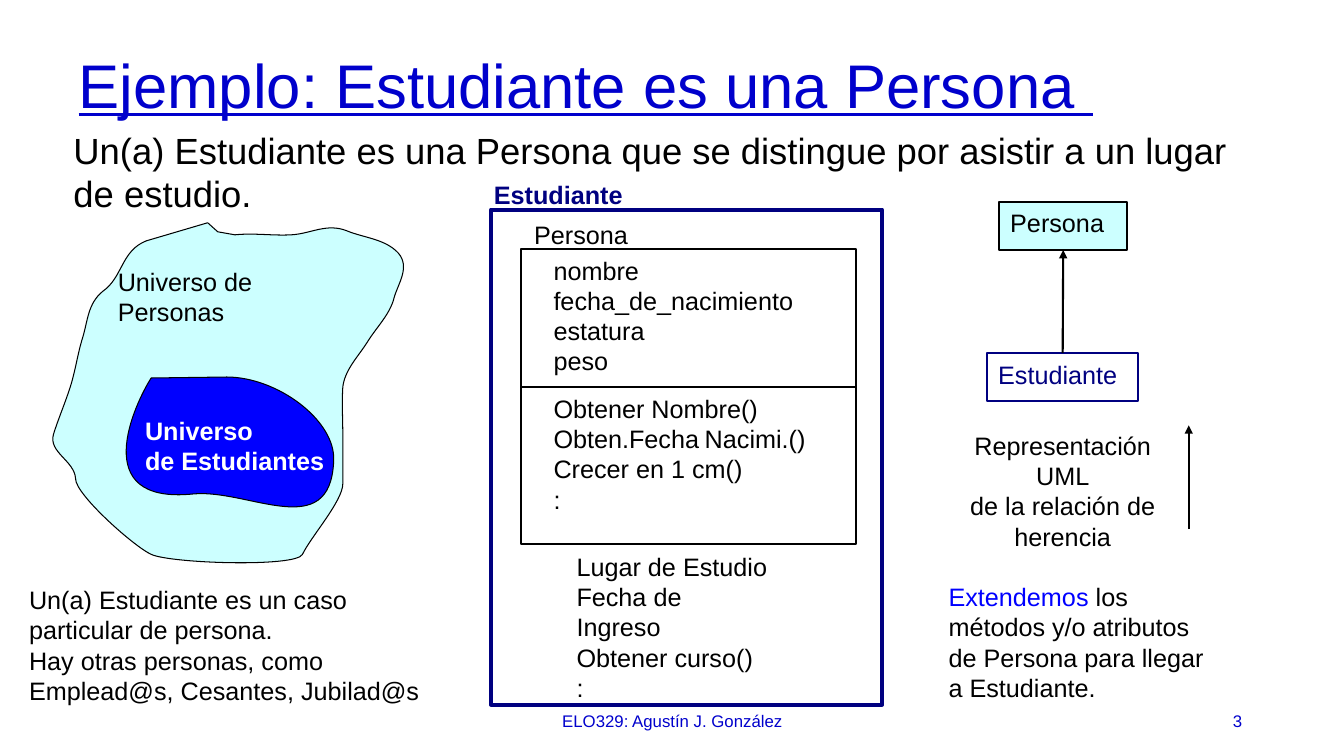
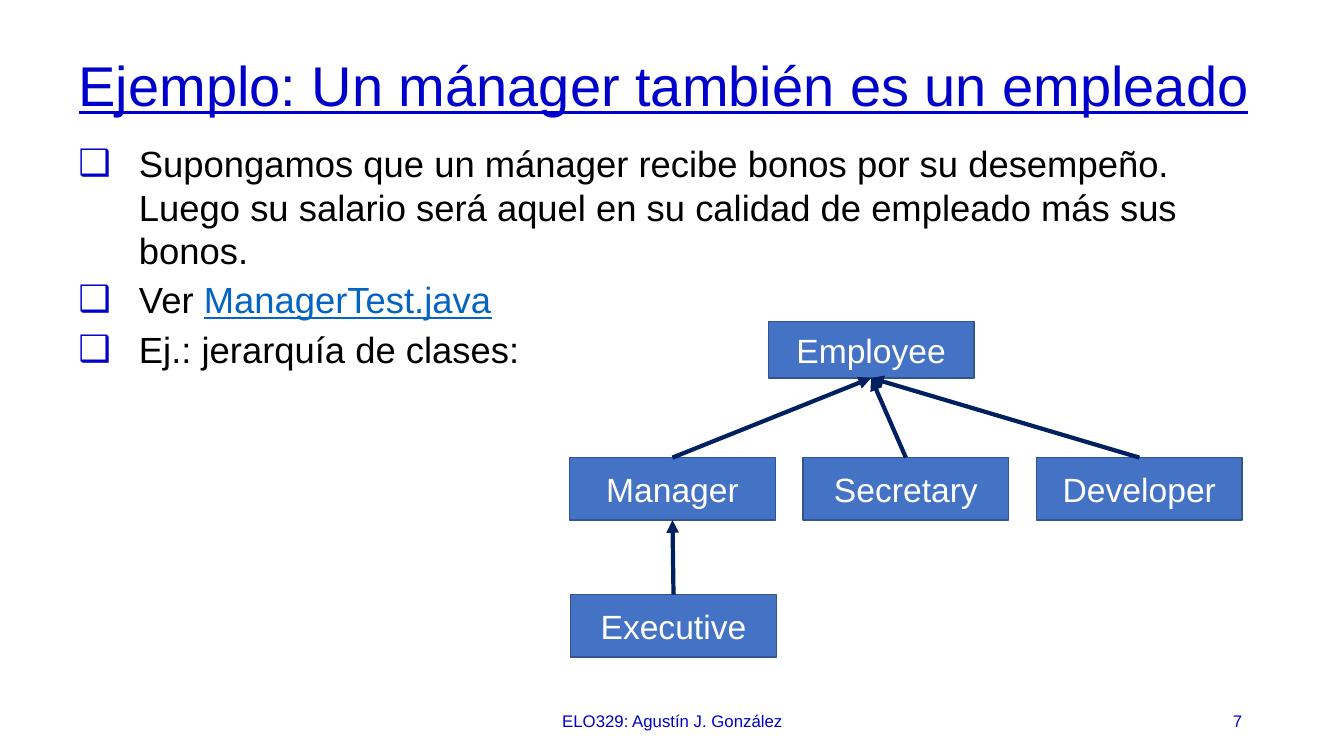
from dataclasses import dataclass

from lxml.etree import SubElement
from pptx import Presentation
from pptx.dml.color import RGBColor
from pptx.enum.shapes import MSO_CONNECTOR, MSO_SHAPE
from pptx.enum.text import MSO_ANCHOR, MSO_AUTO_SIZE, PP_ALIGN
from pptx.oxml.ns import qn
from pptx.util import Inches, Pt


@dataclass(frozen=True)
class Theme:
    font: str = "Arial"
    title: str = "0000CC"
    black: str = "000000"
    white: str = "FFFFFF"
    navy: str = "000080"
    blue: str = "0000FF"
    cyan: str = "CCFFFF"
    link: str = "0563C1"
    box: str = "4472C4"
    box_line: str = "325491"
    arrow: str = "002060"
    body_size: int = 26
    node_size: int = 24
    label_size: int = 18
    footer_size: int = 12
    frame_line: float = 2.89
    uml_line: float = 1.45


T = Theme()
TEXT_INSETS = (0.1, 0.05)
UML_INSETS = (0.11, 0.06)
LEFT, CENTER, RIGHT = PP_ALIGN.LEFT, PP_ALIGN.CENTER, PP_ALIGN.RIGHT
TOP, MIDDLE = MSO_ANCHOR.TOP, MSO_ANCHOR.MIDDLE

# Outlines in inches: a start, then curves (three points) or lines (one point)
PERSONS_START = (1.45, 2.39)
PERSONS_OUTLINE = [
    (1.2, 2.49, 1.22, 2.75, 1.02, 2.89), (0.87, 3.01, 0.87, 3.19, 0.82, 3.35),
    (0.77, 3.51, 0.75, 3.67, 0.7, 3.83), (0.65, 3.99, 0.58, 4.15, 0.53, 4.31),
    (0.48, 4.49, 0.74, 4.57, 0.75, 4.75), (0.75, 4.91, 1.34, 5.43, 1.5, 5.5),
    (1.69, 5.59, 2.94, 5.63, 3, 5.5), (3.08, 5.33, 3.4, 4.97, 3.4, 4.8),
    (3.4, 4.64, 3.4, 4.48, 3.4, 4.31), (3.4, 4.16, 3.39, 4, 3.4, 3.84),
    (3.42, 3.67, 3.55, 3.54, 3.64, 3.4), (3.73, 3.25, 3.87, 3.12, 3.91, 2.95),
    (3.95, 2.81, 4.07, 2.65, 3.95, 2.51), (3.82, 2.37, 3.61, 2.36, 3.44, 2.29),
    (3.24, 2.21, 3.08, 2.32, 2.89, 2.33), (2.7, 2.34, 2.52, 2.31, 2.33, 2.33),
    (2.16, 2.3), (2.06, 2.21),
]
STUDENTS_START = (1.5, 3.75)
STUDENTS_OUTLINE = [
    (1.34, 4, 0.86, 5.01, 1.92, 4.9), (2.47, 4.85, 3.28, 5.39, 3.31, 4.57),
    (3.33, 4.17, 2.75, 3.74, 2.25, 3.74),
]


def rgb(value):
    return RGBColor.from_string(value)


# Text
def add_run(p, text, size, color, **extra):
    r = p.add_run()
    r.text = text
    for name, value in {"name": T.font, "size": Pt(size), **extra}.items():
        setattr(r.font, name, value)
    r.font.color.rgb = rgb(color)


def fill_text(tf, paragraphs, size, color, align=LEFT, anchor=TOP,
              insets=TEXT_INSETS, **font):
    """Each paragraph is a string or a list of (text, format) pairs."""
    side, edge = (Inches(v) for v in insets)
    frame = {"word_wrap": True, "auto_size": MSO_AUTO_SIZE.NONE,
             "vertical_anchor": anchor, "margin_left": side,
             "margin_right": side, "margin_top": edge, "margin_bottom": edge}
    for name, value in frame.items():
        setattr(tf, name, value)
    for i, content in enumerate(paragraphs):
        p = tf.add_paragraph() if i else tf.paragraphs[0]
        p.alignment = align
        runs = [(content, {})] if isinstance(content, str) else content
        for text, changes in runs:
            add_run(p, text, **{"size": size, "color": color, **font, **changes})
    return tf


def add_text(s, at, paragraphs, size=T.label_size, color=T.black, **options):
    sp = s.shapes.add_textbox(*map(Inches, at))
    return fill_text(sp.text_frame, paragraphs, size, color, **options)


def indent(p, left, first=0.0):
    pPr = p._p.get_or_add_pPr()
    pPr.set("marL", str(Inches(left)))
    pPr.set("indent", str(Inches(first)))
    return pPr


def add_bullet(p):
    pPr = indent(p, 0.6, -0.6)
    SubElement(SubElement(pPr, qn("a:buClr")), qn("a:srgbClr"), val=T.title)
    SubElement(pPr, qn("a:buFont"), typeface=T.font)
    SubElement(pPr, qn("a:buChar"), char="❑")


def add_tab_stop(p, position):
    tabs = SubElement(p._p.get_or_add_pPr(), qn("a:tabLst"))
    SubElement(tabs, qn("a:tab"), pos=str(Inches(position)), algn="l")


def add_body(s, at, paragraphs):
    tf = add_text(s, at, paragraphs, T.body_size)
    for p in tf.paragraphs:
        p.space_before = Pt(4)
    return tf


# Shapes
def paint(sp, fill, line, width):
    sp.shadow.inherit = False
    if fill:
        sp.fill.solid()
        sp.fill.fore_color.rgb = rgb(fill)
    else:
        sp.fill.background()
    sp.line.color.rgb = rgb(line)
    sp.line.width = Pt(width)


def add_box(s, at, fill, line, width):
    sp = s.shapes.add_shape(MSO_SHAPE.RECTANGLE, *map(Inches, at))
    paint(sp, fill, line, width)
    return sp


def add_uml_box(s, at, paragraphs, fill=None, color=T.black):
    sp = add_box(s, at, fill, color, T.uml_line)
    fill_text(sp.text_frame, paragraphs, T.label_size, color, insets=UML_INSETS)
    return sp


def add_node(s, name, left, top, height=0.62):
    sp = add_box(s, (left, top, 2.04, height), T.box, T.box_line, 1)
    fill_text(sp.text_frame, [name], T.node_size, T.white,
              align=CENTER, anchor=MIDDLE)
    return sp


def add_arrow(s, start=(0, 0), end=(0, 0), color=T.black, width=1.5):
    line = s.shapes.add_connector(MSO_CONNECTOR.STRAIGHT,
                                  *map(Inches, (*start, *end)))
    line.line.color.rgb = rgb(color)
    line.line.width = Pt(width)
    SubElement(line.line._get_or_add_ln(), qn("a:tailEnd"), type="triangle")
    SubElement(line._element.spPr, qn("a:effectLst"))
    return line


def add_inheritance(s, child, parent, **style):
    line = add_arrow(s, **style)
    line.begin_connect(child, 0)
    line.end_connect(parent, 2)


def bend(sp, segments):
    """Turn each run of three line points into one cubic curve."""
    steps = iter(list(sp._element.iter(qn("a:lnTo"))))
    for segment in segments:
        first, *others = [next(steps) for _ in range(len(segment) // 2)]
        if others:
            first.tag = qn("a:cubicBezTo")
        for step in others:
            first.append(step[0])
            step.getparent().remove(step)


def add_region(s, start, segments, fill):
    builder = s.shapes.build_freeform(*map(Inches, start))
    points = [segment[i:i + 2] for segment in segments
              for i in range(0, len(segment), 2)]
    builder.add_line_segments([(Inches(x), Inches(y)) for x, y in points])
    sp = builder.convert_to_shape()
    bend(sp, segments)
    paint(sp, fill, T.black, 0.75)


# Shared slide frame: title, footer and number
def new_slide(prs, title, size, number):
    s = prs.slides.add_slide(prs.slide_layouts[5])
    sp = s.shapes.title
    place = {"left": 0.68, "top": 0.4, "width": 12.08, "height": 0.95}
    for name, value in place.items():
        setattr(sp, name, Inches(value))
    tf = fill_text(sp.text_frame, [title], size, T.title, anchor=MIDDLE,
                   underline=True)
    tf.paragraphs[0].line_spacing = 0.9
    for left, width, text, align in (
            (4.42, 4.5, "ELO329: Agustín J. González", CENTER),
            (9.42, 3, number, RIGHT)):
        add_text(s, (left, 6.95, width, 0.4), [text], T.footer_size, T.title,
                 align=align, anchor=MIDDLE)
    return s


def add_universes(s):
    add_region(s, PERSONS_START, PERSONS_OUTLINE, T.cyan)
    add_text(s, (1.07, 2.59, 2.5, 0.64), ["Universo de Personas"])
    add_region(s, STUDENTS_START, STUDENTS_OUTLINE, T.blue)
    add_text(s, (1.34, 4.07, 2.1, 0.82), ["Universo", "de Estudiantes"],
             color=T.white, bold=True)
    add_text(s, (0.19, 5.75, 4.23, 1.53), [
        "Un(a) Estudiante es un caso", "particular de persona.",
        "Hay otras personas, como", "Emplead@s, Cesantes, Jubilad@s"])


def add_class_contents(s):
    add_box(s, (4.87, 2.08, 3.88, 4.91), None, T.navy, T.frame_line)
    add_text(s, (4.8, 1.73, 1.71, 0.35), ["Estudiante"], color=T.navy, bold=True)
    add_text(s, (5.62, 5.42, 2.13, 1.35), [
        "Lugar de Estudio", "Fecha de Ingreso", "Obtener curso()", ":"])
    add_text(s, (5.2, 2.13, 1.44, 0.46), ["Persona"])
    attributes = add_uml_box(s, (5.17, 2.47, 3.32, 1.37), [
        "nombre", "fecha_de_nacimiento", "estatura", "peso"])
    methods = add_uml_box(s, (5.17, 3.84, 3.32, 1.56), [
        "Obtener Nombre()", "Obten.Fecha\tNacimi.()", "Crecer en 1 cm()", ":"])
    for sp in (attributes, methods):
        for p in sp.text_frame.paragraphs:
            indent(p, 0.21)
    add_tab_stop(methods.text_frame.paragraphs[1], 2.04)


def add_uml_relation(s):
    person = add_uml_box(s, (9.91, 2, 1.27, 0.48), ["Persona"], fill=T.cyan)
    student = add_uml_box(s, (9.79, 3.5, 1.5, 0.48), ["Estudiante"], color=T.navy)
    add_inheritance(s, student, person)
    add_text(s, (9.39, 4.22, 2.3, 1.17), [
        "Representación UML", "de la relación de", "herencia"], align=CENTER)
    add_arrow(s, (11.79, 5.25), (11.79, 4.22))
    add_text(s, (9.31, 5.72, 2.8, 1.75), [[
        ("Extendemos", {"color": T.blue}),
        (" los métodos y/o atributos de Persona para llegar a Estudiante.", {})]])


def student_slide(prs):
    s = new_slide(prs, "Ejemplo: Estudiante es una Persona ", 44, "3")
    add_body(s, (0.63, 1.22, 12.08, 1.05), [
        "Un(a) Estudiante es una Persona que se distingue por asistir "
        "a un lugar de estudio."])
    add_universes(s)
    add_class_contents(s)
    add_uml_relation(s)


def manager_slide(prs):
    s = new_slide(prs, "Ejemplo: Un mánager también es un empleado", 40, "7")
    tf = add_body(s, (0.68, 1.35, 12.08, 2.63), [
        "Supongamos que un mánager recibe bonos por su desempeño. Luego su "
        "salario será aquel en su calidad de empleado más sus bonos.",
        [("Ver ", {}), ("ManagerTest.java", {"color": T.link, "underline": True})],
        "Ej.: jerarquía de clases:"])
    for p in tf.paragraphs:
        add_bullet(p)

    # Class hierarchy
    employee = add_node(s, "Employee", 7.62, 3.19, 0.56)
    manager, secretary, developer = (
        add_node(s, name, 5.65 + 2.315 * i, 4.54)
        for i, name in enumerate(("Manager", "Secretary", "Developer")))
    executive = add_node(s, "Executive", 5.66, 5.9)
    for child, parent in ((manager, employee), (executive, manager),
                          (secretary, employee), (developer, employee)):
        add_inheritance(s, child, parent, color=T.arrow, width=3)


def main():
    prs = Presentation()
    prs.slide_width, prs.slide_height = Inches(13.33), Inches(7.5)
    student_slide(prs)
    manager_slide(prs)
    prs.save("out.pptx")


main()
